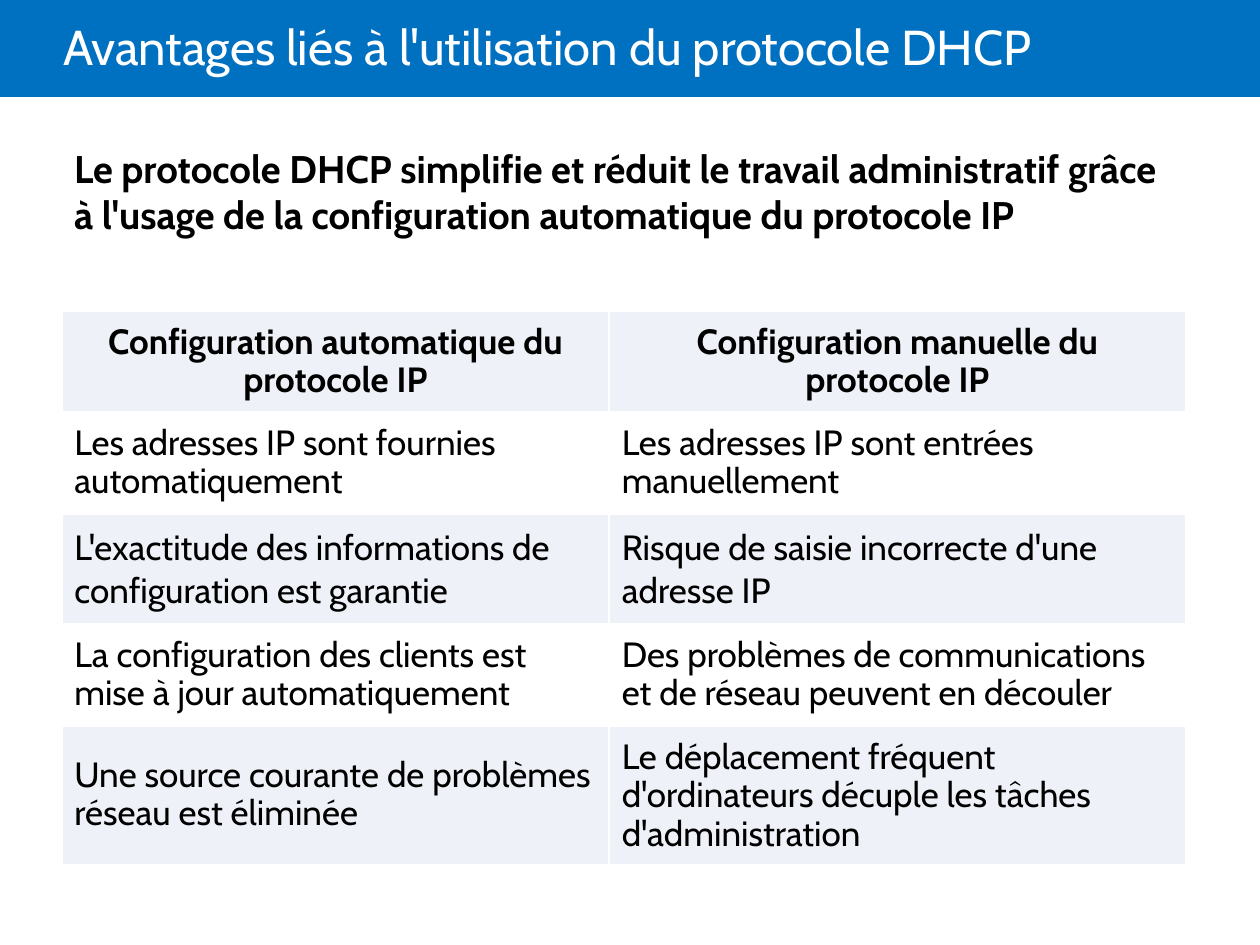
import pptx
import pptx.util
import pptx.dml.color
import pptx.enum.shapes
import pptx.enum.text
import pptx.oxml
import pptx.oxml.ns

Inches = pptx.util.Inches
Pt = pptx.util.Pt
Align = pptx.enum.text.PP_ALIGN
Anchor = pptx.enum.text.MSO_ANCHOR

FONT = "Cabin"
COLORS = {"band": "0070C0", "stripe": "EEF1F7", "white": "FFFFFF", "text": "000000"}

TITLE = "Avantages liés à l'utilisation du protocole DHCP"
SUMMARY = (
    "Le protocole DHCP simplifie et réduit le travail administratif grâce "
    "à l'usage de la configuration automatique du protocole IP"
)
COMPARISON = [
    ("Configuration automatique du protocole IP", "Configuration manuelle du protocole IP"),
    ("Les adresses IP sont fournies automatiquement", "Les adresses IP sont entrées manuellement"),
    ("L'exactitude des informations de configuration est garantie",
     "Risque de saisie incorrecte d'une adresse IP"),
    ("La configuration des clients est mise à jour automatiquement",
     "Des problèmes de communications et de réseau peuvent en découler"),
    ("Une source courante de problèmes réseau est éliminée",
     "Le déplacement fréquent d'ordinateurs décuple les tâches d'administration"),
]
COLUMN_SHARES = [4.34, 4.57]
ROW_SHARES = [0.79, 0.81, 0.86, 0.81, 1.09]
ROW_SPACING = [0.9, 0.9, 1.0, 0.9, 0.9]


def color(name):
    return pptx.dml.color.RGBColor.from_string(COLORS[name])


def write(para, text, size, color_name, bold=False, align=Align.LEFT, spacing=1.0):
    para.alignment = align
    para.line_spacing = spacing
    span = para.add_run()
    span.text = text
    span.font.name = FONT
    span.font.size = Pt(size)
    span.font.bold = bold
    span.font.color.rgb = color(color_name)


def add_header(page, left, top, width, height):
    title = page.shapes.title
    title.left, title.top = left + Inches(0.5), top
    title.width, title.height = width - Inches(1.5), height + Inches(0.04)
    frame = title.text_frame
    frame.word_wrap = True
    frame.auto_size = pptx.enum.text.MSO_AUTO_SIZE.NONE
    frame.vertical_anchor = Anchor.MIDDLE
    frame.margin_left = 0
    write(frame.paragraphs[0], TITLE, 28, "white", spacing=0.85)

    band = page.shapes.add_shape(
        pptx.enum.shapes.MSO_SHAPE.RECTANGLE, left, top, width, height)
    band.shadow.inherit = False
    band.fill.solid()
    band.fill.fore_color.rgb = color("band")
    band.line.fill.background()
    title.element.addprevious(band.element)


def add_summary(page, left, top, width, height):
    box = page.shapes.add_textbox(left, top, width, height)
    box.text_frame.word_wrap = True
    write(box.text_frame.paragraphs[0], SUMMARY, 22, "text", bold=True)


def add_borders(cell):
    properties = cell._tc.get_or_add_tcPr()
    for index, side in enumerate(("lnL", "lnR", "lnT", "lnB")):
        border = pptx.oxml.parse_xml(
            f'<a:{side} {pptx.oxml.ns.nsdecls("a")} w="12700"><a:solidFill>'
            f'<a:srgbClr val="{COLORS["white"]}"/></a:solidFill></a:{side}>')
        properties.insert(index, border)


def fill_cell(cell, text, row):
    is_header = row == 0
    cell.fill.solid()
    cell.fill.fore_color.rgb = color("white" if row % 2 else "stripe")
    cell.vertical_anchor = Anchor.MIDDLE
    cell.margin_left = cell.margin_right = Inches(0.1)
    cell.margin_top = cell.margin_bottom = Inches(0.1)
    write(cell.text_frame.paragraphs[0], text, 20, "text", bold=is_header,
          align=Align.CENTER if is_header else Align.LEFT, spacing=ROW_SPACING[row])
    add_borders(cell)


def add_comparison(page, left, top, width, height):
    table = page.shapes.add_table(
        len(COMPARISON), len(COLUMN_SHARES), left, top, width, height).table
    for column, share in zip(table.columns, COLUMN_SHARES):
        column.width = int(width * share / sum(COLUMN_SHARES))
    for row, share in zip(table.rows, ROW_SHARES):
        row.height = int(height * share / sum(ROW_SHARES))
    for row, texts in enumerate(COMPARISON):
        for column, text in enumerate(texts):
            fill_cell(table.cell(row, column), text, row)


def main():
    deck = pptx.Presentation()
    deck.slide_width, deck.slide_height = Inches(10), Inches(7.5)
    page = deck.slides.add_slide(deck.slide_layouts.get_by_name("Title Only"))
    add_header(page, 0, 0, deck.slide_width, Inches(0.77))
    add_summary(page, Inches(0.49), Inches(1.1), Inches(8.84), Inches(1.21))
    add_comparison(page, Inches(0.49), Inches(2.47), Inches(8.92), Inches(4.37))
    deck.save("out.pptx")


if __name__ == "__main__":
    main()
